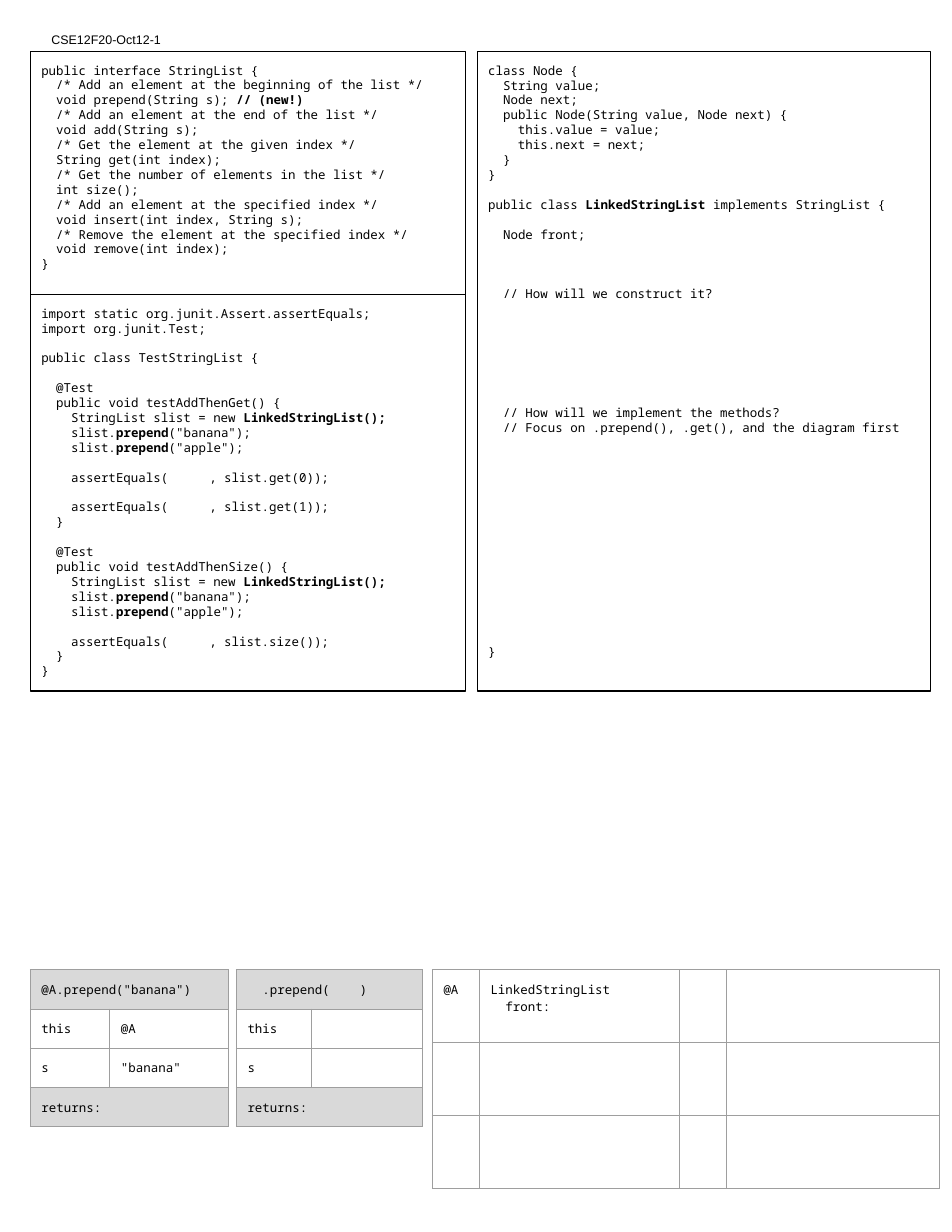
import pptx
import pptx.dml.color
import pptx.enum.shapes
import pptx.enum.text
import pptx.oxml.ns
import pptx.util
from lxml import etree

Inches = pptx.util.Inches
Pt = pptx.util.Pt
qn = pptx.oxml.ns.qn

BLACK = pptx.dml.color.RGBColor(0x00, 0x00, 0x00)
SHADE = pptx.dml.color.RGBColor(0xD9, 0xD9, 0xD9)
GRID = pptx.dml.color.RGBColor(0x9E, 0x9E, 0x9E)

MONO = "Noto Sans Mono"
SIZE = 8
CHAR = 0.6 * SIZE / 72  # width of one monospaced character, inches
PITCH = 9.58  # distance between lines of code, points
INSET = Inches(0.1)

# Each line of code: (indent in characters, empty lines above, text).
# Text between ** marks is bold; a tab opens a blank to fill in.
INTERFACE = [
    (0, 0, "public interface StringList {"),
    (2, 0, "/* Add an element at the beginning of the list */"),
    (2, 0, "void prepend(String s); **// (new!)**"),
    (2, 0, "/* Add an element at the end of the list */"),
    (2, 0, "void add(String s);"),
    (2, 0, "/* Get the element at the given index */"),
    (2, 0, "String get(int index);"),
    (2, 0, "/* Get the number of elements in the list */"),
    (2, 0, "int size();"),
    (2, 0, "/* Add an element at the specified index */"),
    (2, 0, "void insert(int index, String s);"),
    (2, 0, "/* Remove the element at the specified index */"),
    (2, 0, "void remove(int index);"),
    (0, 0, "}"),
]
LINKED_LIST = [
    (0, 0, "class Node {"),
    (2, 0, "String value;"),
    (2, 0, "Node next;"),
    (2, 0, "public Node(String value, Node next) {"),
    (4, 0, "this.value = value;"),
    (4, 0, "this.next = next;"),
    (2, 0, "}"),
    (0, 0, "}"),
    (0, 1, "public class **LinkedStringList** implements StringList {"),
    (2, 1, "Node front;"),
    (2, 3, "// How will we construct it?"),
    (2, 7, "// How will we implement the methods?"),
    (2, 0, "// Focus on .prepend(), .get(), and the diagram first"),
    (0, 14, "}"),
]


def test_method(name, gap, checks):
    """Return the code lines of one test with its assertions."""
    return [
        (2, gap, "@Test"),
        (2, 0, f"public void {name}() {{"),
        (4, 0, "StringList slist = new **LinkedStringList();**"),
        (4, 0, 'slist.**prepend**("banana");'),
        (4, 0, 'slist.**prepend**("apple");'),
        *[(4, 1, f"assertEquals(\t, slist.{check});") for check in checks],
        (2, 0, "}"),
    ]


TESTS = [
    (0, 0, "import static org.junit.Assert.assertEquals;"),
    (0, 0, "import org.junit.Test;"),
    (0, 1, "public class TestStringList {"),
    *test_method("testAddThenGet", 1, ["get(0)", "get(1)"]),
    *test_method("testAddThenSize", 1, ["size()"]),
    (0, 0, "}"),
]


def write_text(frame, lines, font=MONO, pitch=None, tab=None):
    """Fill a text frame with (indent, gap, text) lines."""
    for number, (indent, gap, text) in enumerate(lines):
        line = frame.add_paragraph() if number else frame.paragraphs[0]
        line.alignment = pptx.enum.text.PP_ALIGN.LEFT
        if pitch:
            line.line_spacing = Pt(pitch)
            line.space_before = Pt(gap * pitch)
        properties = line._p.get_or_add_pPr()
        properties.set("marL", "0")
        properties.set("indent", str(Inches(indent * CHAR)))
        if "\t" in text:
            stops = etree.SubElement(properties, qn("a:tabLst"))
            etree.SubElement(stops, qn("a:tab"), pos=str(Inches(tab * CHAR)), algn="l")
        for part, piece in enumerate(text.split("**")):
            if piece:
                run = line.add_run()
                run.text = piece
                run.font.name = font
                run.font.size = Pt(SIZE)
                run.font.bold = part % 2 == 1
                run.font.color.rgb = BLACK


def set_insets(target):
    """Give a text frame or table cell equal insets on all sides."""
    target.margin_left = target.margin_right = INSET
    target.margin_top = target.margin_bottom = INSET


def add_heading(slide, left, top, width, height):
    """Place the handout label."""
    label = slide.shapes.add_textbox(*map(Inches, (left, top, width, height))).text_frame
    label.word_wrap = True
    set_insets(label)
    write_text(label, [(0, 0, "CSE12F20-Oct12-1")], font="Arial")


def add_code_box(slide, left, top, width, height, lines):
    """Place an outlined box of code."""
    box = slide.shapes.add_shape(
        pptx.enum.shapes.MSO_SHAPE.RECTANGLE, *map(Inches, (left, top, width, height)))
    box.shadow.inherit = False
    box.fill.background()
    box.line.color.rgb = BLACK
    box.line.width = Pt(0.75)
    code = box.text_frame
    code.word_wrap = True
    code.vertical_anchor = pptx.enum.text.MSO_ANCHOR.TOP
    set_insets(code)
    write_text(code, lines, pitch=PITCH, tab=37)


def style_cell(cell, shaded):
    """Set the insets, fill, borders and empty-text size of a cell."""
    set_insets(cell)
    end = etree.SubElement(cell.text_frame.paragraphs[0]._p, qn("a:endParaRPr"))
    end.set("sz", str(SIZE * 100))
    properties = cell._tc.get_or_add_tcPr()
    for side in ("a:lnL", "a:lnR", "a:lnT", "a:lnB"):
        border = etree.SubElement(properties, qn(side), w=str(Pt(0.75)))
        paint = etree.SubElement(border, qn("a:solidFill"))
        etree.SubElement(paint, qn("a:srgbClr"), val=str(GRID))
    if shaded:
        cell.fill.solid()
        cell.fill.fore_color.rgb = SHADE
    else:
        cell.fill.background()


def add_grid(slide, left, top, columns, row_height, rows, shaded_rows=()):
    """Place a table; shaded rows are merged across their columns."""
    grid = slide.shapes.add_table(
        len(rows), len(columns), Inches(left), Inches(top),
        Inches(sum(columns)), Inches(row_height * len(rows))).table
    grid.first_row = grid.horz_banding = False
    for column, width in zip(grid.columns, columns):
        column.width = Inches(width)
    for r, contents in enumerate(rows):
        grid.rows[r].height = Inches(row_height)
        for c, lines in enumerate(contents):
            cell = grid.cell(r, c)
            write_text(cell.text_frame, lines, tab=20)
            style_cell(cell, r in shaded_rows)
        if r in shaded_rows:
            grid.cell(r, 0).merge(grid.cell(r, len(columns) - 1))


def add_call_frame(slide, left, top, columns, call, this, s):
    """Place the table that traces one method call."""
    rows = [[call, ""], ["this", this], ["s", s], ["returns:", ""]]
    cells = [[[(2 if text.startswith(".") else 0, 0, text)] if text else []
              for text in row] for row in rows]
    add_grid(slide, left, top, columns, 0.35, cells, shaded_rows=(0, 3))


def add_heap(slide, left, top):
    """Place the grid of addresses and objects."""
    rows = [[[] for _ in range(4)] for _ in range(3)]
    rows[0][0] = [(0, 0, "@A")]
    rows[0][1] = [(0, 0, "LinkedStringList"), (2, 0, "front:")]
    add_grid(slide, left, top, (0.42, 1.79, 0.42, 1.9), 0.65, rows)


def main():
    """Build the handout."""
    deck = pptx.Presentation()
    deck.slide_width, deck.slide_height = Inches(8.5), Inches(11)
    slide = deck.slides.add_slide(deck.slide_layouts[6])
    add_heading(slide, 0.36, 0.22, 2.04, 0.33)
    add_code_box(slide, 0.27, 0.46, 3.89, 2.17, INTERFACE)
    add_code_box(slide, 4.26, 0.46, 4.05, 5.71, LINKED_LIST)
    add_code_box(slide, 0.27, 2.63, 3.89, 3.54, TESTS)
    add_call_frame(slide, 0.27, 8.66, (0.71, 1.06), '@A.prepend("banana")', "@A", '"banana"')
    add_heap(slide, 3.86, 8.66)
    add_call_frame(slide, 2.11, 8.66, (0.67, 0.99), ".prepend(\t)", "", "")
    deck.save("out.pptx")


main()
